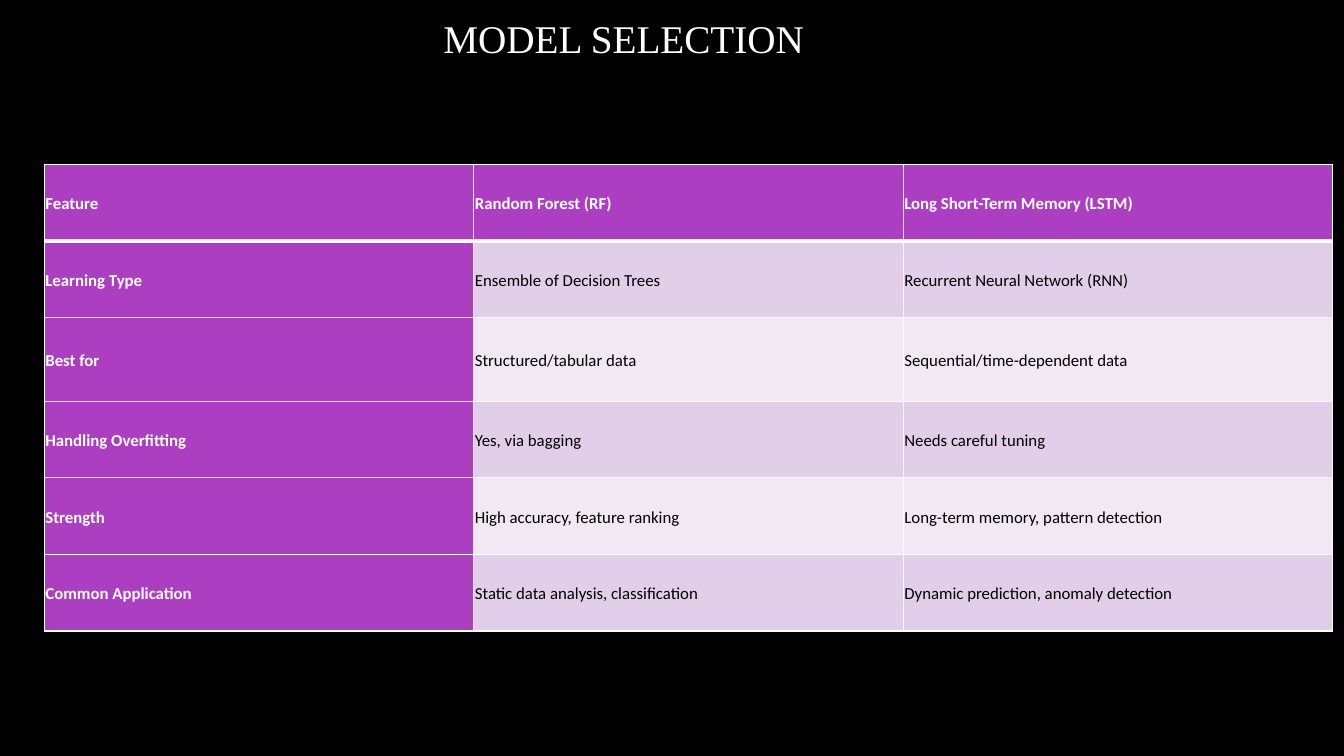
import pptx
import pptx.util
import pptx.dml.color
import pptx.enum.text
import pptx.oxml
import pptx.oxml.ns

Inches, Pt = pptx.util.Inches, pptx.util.Pt
ALIGN = pptx.enum.text.PP_ALIGN
MIDDLE = pptx.enum.text.MSO_ANCHOR.MIDDLE

TITLE = "MODEL SELECTION"
ROWS = [
    ("Feature", "Random Forest (RF)", "Long Short-Term Memory (LSTM)"),
    ("Learning Type", "Ensemble of Decision Trees", "Recurrent Neural Network (RNN)"),
    ("Best for", "Structured/tabular data", "Sequential/time-dependent data"),
    ("Handling Overfitting", "Yes, via bagging", "Needs careful tuning"),
    ("Strength", "High accuracy, feature ranking", "Long-term memory, pattern detection"),
    ("Common Application", "Static data analysis, classification",
     "Dynamic prediction, anomaly detection"),
]
HEIGHTS = [0.76, 0.76, 0.83, 0.76, 0.76, 0.76]
WIDTH = 4.26
COLORS = {"back": "000000", "white": "FFFFFF", "text": "000000",
          "head": "AC3EC1", "odd": "E3CEE9", "even": "F1E8F4"}


def color(name):
    return pptx.dml.color.RGBColor.from_string(COLORS[name])


def add_borders(cell, row):
    """Draw white cell edges, thick between the header and the body."""
    props = cell._tc.get_or_add_tcPr()
    sides = {"L": 1, "R": 1, "T": 3 if row == 1 else 1, "B": 3 if row == 0 else 1}
    for place, (side, size) in enumerate(sides.items()):
        props.insert(place, pptx.oxml.parse_xml(
            f'<a:ln{side} {pptx.oxml.ns.nsdecls("a")} w="{Pt(size)}"><a:solidFill>'
            f'<a:srgbClr val="{COLORS["white"]}"/></a:solidFill></a:ln{side}>'))


def fill_cell(cell, text, row, col):
    strong = row == 0 or col == 0
    cell.margin_left = cell.margin_right = Inches(0.01)
    cell.margin_top = cell.margin_bottom = Inches(0.01)
    cell.vertical_anchor = MIDDLE
    cell.fill.solid()
    cell.fill.fore_color.rgb = color("head" if strong else "odd" if row % 2 else "even")
    cell.text = text
    para = cell.text_frame.paragraphs[0]
    para.alignment = ALIGN.JUSTIFY
    para.line_spacing = 1.15
    para.space_after = Pt(10)
    para.font.name = "Calibri"
    para.font.size = Pt(12)
    para.font.bold = strong
    para.font.color.rgb = color("white" if strong else "text")
    add_borders(cell, row)


def add_title(slide):
    title = slide.shapes.title
    title.left, title.top = Inches(2.62), Inches(-0.13)
    title.width, title.height = Inches(7.13), Inches(1.01)
    title.text_frame.text = TITLE
    title.text_frame.vertical_anchor = MIDDLE
    para = title.text_frame.paragraphs[0]
    para.alignment = ALIGN.CENTER
    para.font.name = "Times New Roman"
    para.font.size = Pt(28)
    para.font.color.rgb = color("white")


def add_grid(slide):
    count = len(ROWS[0])
    table = slide.shapes.add_table(
        len(ROWS), count, Inches(0.44), Inches(1.63),
        Inches(WIDTH * count), Inches(sum(HEIGHTS))).table
    for col in table.columns:
        col.width = Inches(WIDTH)
    for row, texts in enumerate(ROWS):
        table.rows[row].height = Inches(HEIGHTS[row])
        for col, text in enumerate(texts):
            fill_cell(table.cell(row, col), text, row, col)


def main():
    deck = pptx.Presentation()
    deck.slide_width, deck.slide_height = Inches(13.33), Inches(7.5)
    slide = deck.slides.add_slide(deck.slide_layouts[5])
    slide.background.fill.solid()
    slide.background.fill.fore_color.rgb = color("back")
    add_grid(slide)
    add_title(slide)
    deck.save("out.pptx")


if __name__ == "__main__":
    main()
